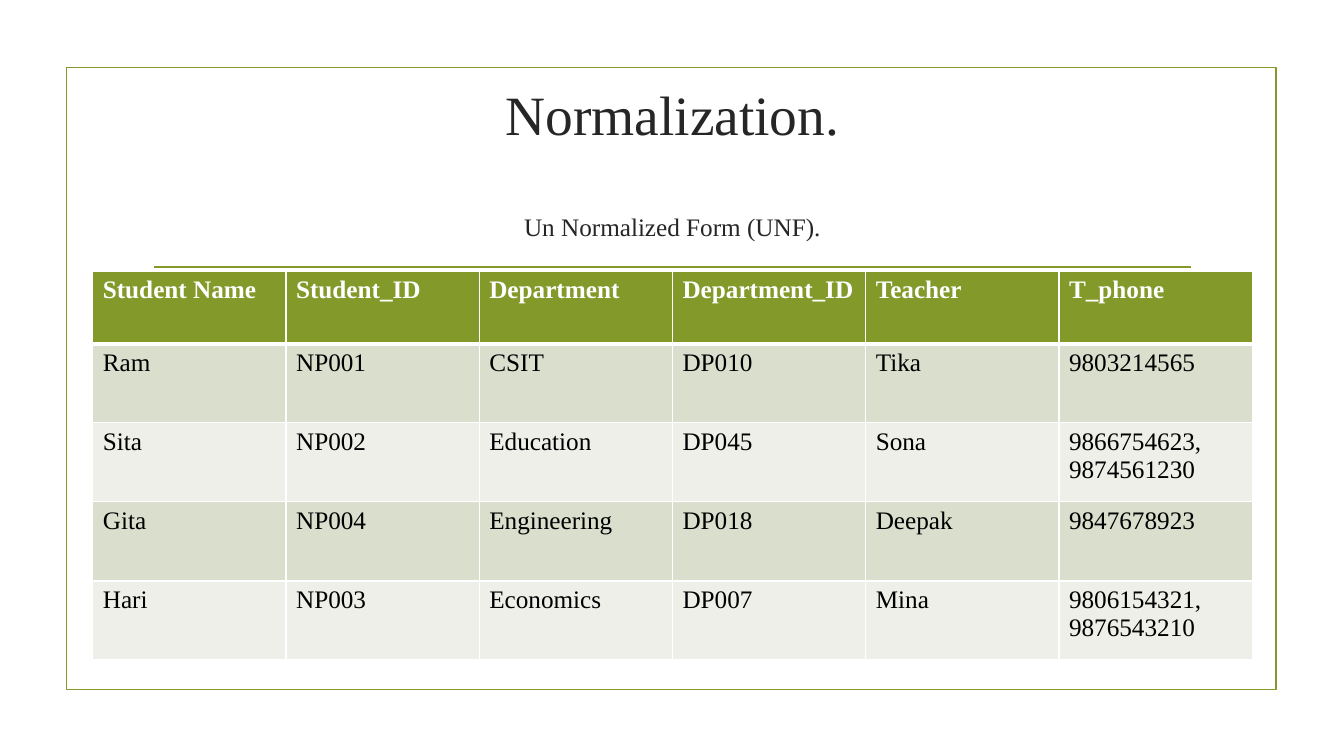
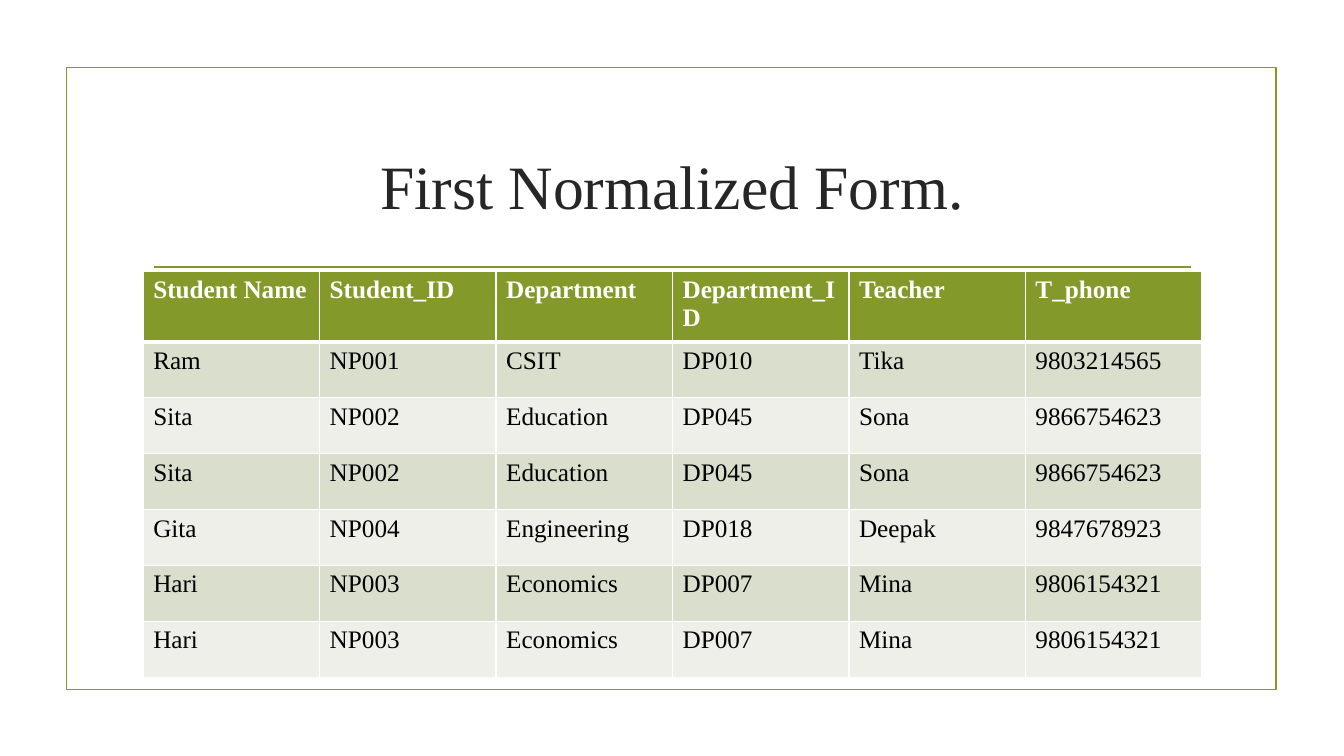
from lxml.etree import SubElement
from pptx import Presentation
from pptx.dml.color import RGBColor
from pptx.enum.shapes import MSO_CONNECTOR, MSO_SHAPE
from pptx.enum.text import MSO_ANCHOR, PP_ALIGN
from pptx.oxml.ns import qn
from pptx.util import Pt

# Content
HEAD = ["Student Name", "Student_ID", "Department", "Department_ID",
        "Teacher", "T_phone"]
RAM = ["Ram", "NP001", "CSIT", "DP010", "Tika"]
SITA = ["Sita", "NP002", "Education", "DP045", "Sona"]
GITA = ["Gita", "NP004", "Engineering", "DP018", "Deepak"]
HARI = ["Hari", "NP003", "Economics", "DP007", "Mina"]

# Title lines are (text, size, space before); boxes are left, top, width, height
SLIDES = [
    {
        "title": [("Normalization.", 39.6, 0),
                  ("Un Normalized Form (UNF).", 18, 46)],
        "box": (92, 72, 1150, 166),
        "grid": (92, 269, 1150, 386),
        "top": 72,
        "rows": [RAM + ["9803214565"],
                 SITA + ["9866754623,\n9874561230"],
                 GITA + ["9847678923"],
                 HARI + ["9806154321,\n9876543210"]],
    },
    {
        "title": [("First Normalized Form.", 44, 0)],
        "box": (142, 107, 1050, 143),
        "grid": (142, 269, 1050, 400),
        "top": 67,
        "rows": [RAM + ["9803214565"],
                 SITA + ["9866754623"],
                 SITA + ["9866754623"],
                 GITA + ["9847678923"],
                 HARI + ["9806154321"],
                 HARI + ["9806154321"]],
    },
]

# Shared look
FONT = "Times New Roman"
GREEN, INK, BLACK, WHITE = "83992A", "262626", "000000", "FFFFFF"
BANDS = ["D9DECD", "EDEFE8"]
FRAME = (66, 67, 1200, 617)
RULE = (153, 265, 1181, 265)
SCALE = 9144  # EMU in one px, 100 px to the inch


def px(*nums):
    return [round(n * SCALE) for n in nums]


def color(code):
    return RGBColor.from_string(code)


def add_run(para, text, size, code, bold=False):
    run = para.add_run()
    run.text = text
    font = run.font
    font.name, font.size, font.bold = FONT, Pt(size), bold
    font.color.rgb = color(code)


def outline(shape):
    shape.line.color.rgb = color(GREEN)
    shape.line.width = Pt(1.25)


def add_base(slide):
    """Frame and rule found on every slide."""
    frame = slide.shapes.add_shape(MSO_SHAPE.RECTANGLE, *px(*FRAME))
    frame.shadow.inherit = False
    frame.fill.background()
    outline(frame)
    rule = slide.shapes.add_connector(MSO_CONNECTOR.STRAIGHT, *px(*RULE))
    outline(rule)
    SubElement(rule._element.spPr, qn("a:effectLst"))


def add_title(slide, lines, box):
    frame = slide.shapes.add_textbox(*px(*box)).text_frame
    frame.word_wrap = True
    frame.vertical_anchor = MSO_ANCHOR.MIDDLE
    frame.margin_top, frame.margin_bottom = px(14, 5)
    for i, (text, size, gap) in enumerate(lines):
        para = frame.add_paragraph() if i else frame.paragraphs[0]
        para.alignment = PP_ALIGN.CENTER
        para.space_before = Pt(gap)
        add_run(para, text, size, INK)


def add_edges(cell, widths):
    props = cell._tc.get_or_add_tcPr()
    for side, width in zip("LRTB", widths):
        edge = SubElement(props, qn(f"a:ln{side}"), w=str(Pt(width)))
        fill = SubElement(edge, qn("a:solidFill"))
        SubElement(fill, qn("a:srgbClr"), val=WHITE)


def fill_cell(cell, text, row):
    is_head = row == 0
    add_edges(cell, (1, 1, 3 if row == 1 else 1, 3 if is_head else 1))
    cell.fill.solid()
    cell.fill.fore_color.rgb = color(GREEN if is_head else BANDS[(row - 1) % 2])
    frame = cell.text_frame
    for i, line in enumerate(text.split("\n")):
        para = frame.add_paragraph() if i else frame.paragraphs[0]
        add_run(para, line, 18, WHITE if is_head else BLACK, is_head)


def add_grid(slide, rows, box, top):
    data = [HEAD] + rows
    table = slide.shapes.add_table(len(data), len(HEAD), *px(*box)).table
    wide, tall = box[2] / len(HEAD), (box[3] - top) / len(rows)
    for col in table.columns:
        col.width = px(wide)[0]
    for r, texts in enumerate(data):
        table.rows[r].height = px(tall if r else top)[0]
        for c, text in enumerate(texts):
            fill_cell(table.cell(r, c), text, r)


def main():
    deck = Presentation()
    deck.slide_width, deck.slide_height = px(1333, 750)
    for page in SLIDES:
        slide = deck.slides.add_slide(deck.slide_layouts[6])
        add_base(slide)
        add_title(slide, page["title"], page["box"])
        add_grid(slide, page["rows"], page["grid"], page["top"])
    deck.save("out.pptx")


if __name__ == "__main__":
    main()
